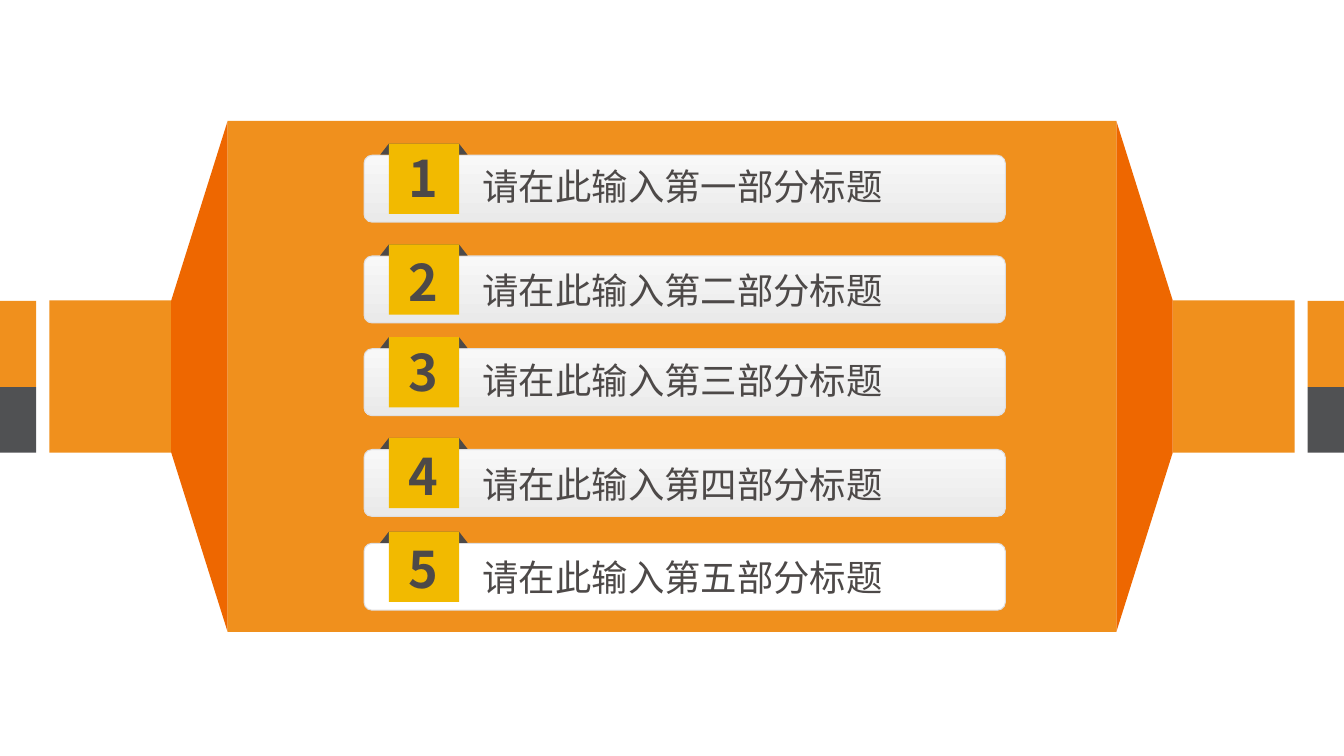
import pptx
import pptx.dml.color
import pptx.enum.shapes
import pptx.enum.text
import pptx.oxml.ns
import pptx.util
from lxml import etree

Pt = pptx.util.Pt
MSO_SHAPE = pptx.enum.shapes.MSO_SHAPE
FONT = "Noto Sans CJK SC"
ORANGE, DEEP_ORANGE, GREY = "F0901D", "EE6700", "505153"
YELLOW, DARK = "F2BA00", "4D4948"
WIDTH, HEIGHT = 960.5, 540


def paint(sp, color):
    sp.shadow.inherit = False
    sp.line.fill.background()
    sp.fill.solid()
    sp.fill.fore_color.rgb = pptx.dml.color.RGBColor.from_string(color)
    return sp


def add_text(x, y, w, h, text, size, bold):
    tf = s.shapes.add_textbox(Pt(x), Pt(y), Pt(w), Pt(h)).text_frame
    tf.word_wrap = False
    tf.auto_size = pptx.enum.text.MSO_AUTO_SIZE.SHAPE_TO_FIT_TEXT
    tf.text = text
    r = tf.paragraphs[0].runs[0]
    r.font.size, r.font.bold, r.font.name = Pt(size), bold, FONT
    r.font.color.rgb = pptx.dml.color.RGBColor.from_string(DARK)
    ea = etree.SubElement(r.font._element, pptx.oxml.ns.qn("a:ea"))
    ea.set("typeface", FONT)


prs = pptx.Presentation()
prs.slide_width, prs.slide_height = Pt(WIDTH), Pt(HEIGHT)
s = prs.slides.add_slide(prs.slide_layouts[6])

# Ribbon: the left half is mirrored on the right
ribbon = [
    (0, 214.9, 25.9, 61.6, ORANGE),
    (0, 276.5, 25.9, 46.8, GREY),
    (35.3, 214.6, 87.1, 108.7, ORANGE),
]
panel_left, panel_top, panel_bottom = 162.7, 86.4, 451.4
fold = [(panel_left, panel_top), (122.4, 214.6), (122.4, 323.3), (panel_left, panel_bottom)]
for mirrored in (False, True):
    for x, y, w, h, color in ribbon:
        left = WIDTH - x - w if mirrored else x
        paint(s.shapes.add_shape(MSO_SHAPE.RECTANGLE, Pt(left), Pt(y), Pt(w), Pt(h)), color)
    points = [(Pt(WIDTH - x if mirrored else x), Pt(y)) for x, y in fold]
    builder = s.shapes.build_freeform(*points[0])
    builder.add_line_segments(points[1:], close=True)
    paint(builder.convert_to_shape(), DEEP_ORANGE)
paint(s.shapes.add_shape(MSO_SHAPE.RECTANGLE, Pt(panel_left), Pt(panel_top),
                         Pt(WIDTH - 2 * panel_left), Pt(panel_bottom - panel_top)), ORANGE)

# Agenda rows: bar top, title top, title
rows = [
    (110.9, 113.8, "请在此输入第一部分标题"),
    (182.9, 187.9, "请在此输入第二部分标题"),
    (249.1, 252, "请在此输入第三部分标题"),
    (321.1, 326.2, "请在此输入第四部分标题"),
    (388.1, 393.1, "请在此输入第五部分标题"),
]
for number, (bar_top, title_top, title) in enumerate(rows, 1):
    bar = s.shapes.add_shape(MSO_SHAPE.ROUNDED_RECTANGLE, Pt(260.2), Pt(bar_top), Pt(458.3), Pt(47.8))
    bar.adjustments[0] = 0.12
    paint(bar, "FFFFFF")
    if number < len(rows):
        bar.fill.gradient()
        bar.fill.gradient_angle = 270
        for stop, color, position in zip(bar.fill.gradient_stops, ("F8F8F8", "EAEAEA"), (0, 1)):
            stop.color.rgb = pptx.dml.color.RGBColor.from_string(color)
            stop.position = position
    bar.line.color.rgb = pptx.dml.color.RGBColor.from_string("DFDFE1")
    bar.line.width = Pt(0)

    tab_top = bar_top - 8.3
    tab_fold = s.shapes.add_shape(MSO_SHAPE.TRAPEZOID, Pt(271.7), Pt(tab_top), Pt(62.5), Pt(7.9))
    tab_fold.adjustments[0] = 0.78
    paint(tab_fold, DARK)
    paint(s.shapes.add_shape(MSO_SHAPE.RECTANGLE, Pt(277.9), Pt(tab_top), Pt(50.2), Pt(50.2)), YELLOW)
    add_text(337.7, title_top, 301, 38.9, title, 26, False)
    add_text(285.1, title_top - 12, 34.6, 50.4, str(number), 36, True)

prs.save("out.pptx")
